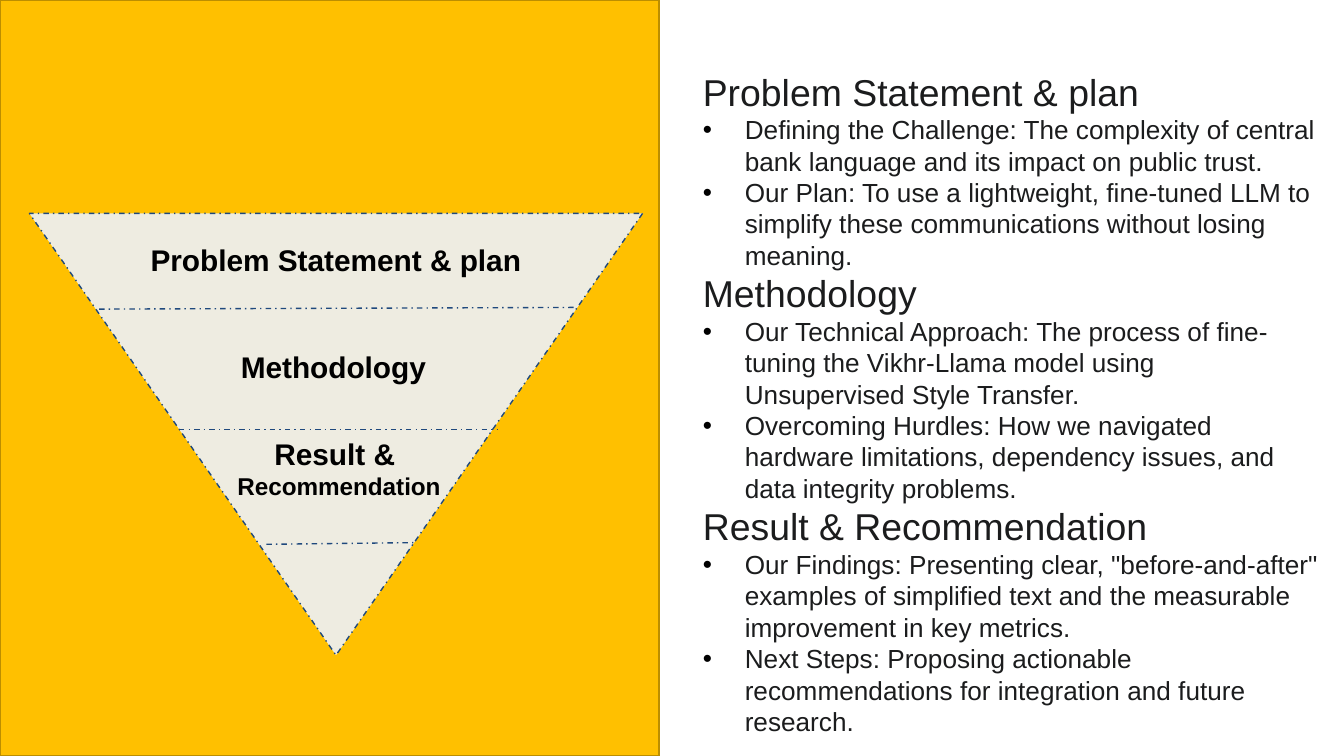
from lxml import etree
from pptx import Presentation
from pptx.dml.color import RGBColor
from pptx.enum import dml, shapes, text
from pptx.oxml import ns
from pptx.util import Pt

PX = 5715  # EMU per px, 160 px to the inch
WIDTH, HEIGHT = 1600, 900
INSET, INDENT = 16, 50

AMBER = RGBColor(0xFF, 0xC0, 0x00)
AMBER_EDGE = RGBColor(0xBC, 0x8E, 0x00)
CREAM = RGBColor(0xEE, 0xEC, 0xE1)
NAVY = RGBColor(0x1F, 0x49, 0x7D)
BLACK = RGBColor(0x00, 0x00, 0x00)
INK = RGBColor(0x1B, 0x1C, 0x1D)

# Box, bottom inset and text lines with their sizes
LEVELS = [
    ((157, 253, 486, 113), INSET, [("Problem Statement & plan", 16)]),
    ((154, 366, 486, 141), INSET, [("Methodology", 16)]),
    ((169, 509, 469, 141), 60, [("Result & ", 16), ("Recommendation", 13)]),
]
DIVIDERS = [(118, 368, 685, 366), (213, 511, 592, 511), (317, 648, 494, 646)]
SECTIONS = {
    "Problem Statement & plan": [
        "Defining the Challenge: The complexity of central bank language and its "
        "impact on public trust.",
        "Our Plan: To use a lightweight, fine-tuned LLM to simplify these "
        "communications without losing meaning.",
    ],
    "Methodology": [
        "Our Technical Approach: The process of fine-tuning the Vikhr-Llama model "
        "using Unsupervised Style Transfer.",
        "Overcoming Hurdles: How we navigated hardware limitations, dependency "
        "issues, and data integrity problems.",
    ],
    "Result & Recommendation": [
        'Our Findings: Presenting clear, "before-and-after" examples of simplified '
        "text and the measurable improvement in key metrics.",
        "Next Steps: Proposing actionable recommendations for integration and "
        "future research.",
    ],
}


def emu(lengths):
    return [length * PX for length in lengths]


def apply(target, values):
    for name, value in values.items():
        setattr(target, name, value)


class SlideBuilder:
    font = "Arial"
    dashed = {"width": Pt(0.75), "dash_style": dml.MSO_LINE.DASH_DOT}

    def __init__(self, presentation):
        self.slide = presentation.slides.add_slide(presentation.slide_layouts[6])

    def shape(self, kind, box, fill, edge, line_format, rotation=0):
        shape = self.slide.shapes.add_shape(kind, *emu(box))
        shape.shadow.inherit = False
        shape.rotation = rotation
        shape.fill.solid()
        shape.fill.fore_color.rgb = fill
        shape.line.color.rgb = edge
        apply(shape.line, line_format)

    def divider(self, ends):
        connector = self.slide.shapes.add_connector(
            shapes.MSO_CONNECTOR.STRAIGHT, *emu(ends))
        connector.line.color.rgb = NAVY
        apply(connector.line, self.dashed)
        etree.SubElement(connector._element.spPr, ns.qn("a:effectLst"))

    def text_box(self, box, frame_format):
        frame = self.slide.shapes.add_textbox(*emu(box)).text_frame
        apply(frame, {"word_wrap": True, **frame_format})
        return frame

    def paragraph(self, frame, words, size, color, bold=False, align=None, bullet=False):
        first = frame.paragraphs[0]
        paragraph = frame.add_paragraph() if first.runs else first
        paragraph.alignment = align
        if bullet:
            self.bullet(paragraph)
        run = paragraph.add_run()
        run.text = words
        apply(run.font, {"name": self.font, "size": Pt(size), "bold": bold})
        run.font.color.rgb = color

    def bullet(self, paragraph):
        properties = paragraph._p.get_or_add_pPr()
        properties.set("marL", str(INDENT * PX))
        properties.set("indent", str(-INDENT * PX))
        color = etree.SubElement(properties, ns.qn("a:buClr"))
        etree.SubElement(color, ns.qn("a:srgbClr"), val=str(BLACK))
        etree.SubElement(properties, ns.qn("a:buFont"), typeface=self.font)
        etree.SubElement(properties, ns.qn("a:buChar"), char="•")


def main():
    presentation = Presentation()
    apply(presentation, {"slide_width": WIDTH * PX, "slide_height": HEIGHT * PX})
    builder = SlideBuilder(presentation)

    # Left panel and inverted pyramid
    builder.shape(shapes.MSO_SHAPE.RECTANGLE, (0, 0, 785, HEIGHT),
                  AMBER, AMBER_EDGE, {"width": Pt(1)})
    builder.shape(shapes.MSO_SHAPE.ISOSCELES_TRIANGLE, (35, 254, 730, 526),
                  CREAM, NAVY, builder.dashed, rotation=180)

    # Pyramid levels
    for box, bottom, lines in LEVELS:
        frame = builder.text_box(box, {
            "vertical_anchor": text.MSO_ANCHOR.MIDDLE,
            "margin_top": INSET * PX,
            "margin_bottom": bottom * PX,
        })
        for words, size in lines:
            builder.paragraph(frame, words, size, BLACK, bold=True,
                              align=text.PP_ALIGN.CENTER)
    for ends in DIVIDERS:
        builder.divider(ends)

    # Agenda on the right
    agenda = builder.text_box((821, 74, 768, 811), {})
    for heading, points in SECTIONS.items():
        builder.paragraph(agenda, heading, 20, INK)
        for point in points:
            builder.paragraph(agenda, point, 14, INK, bullet=True)

    presentation.save("out.pptx")


if __name__ == "__main__":
    main()
